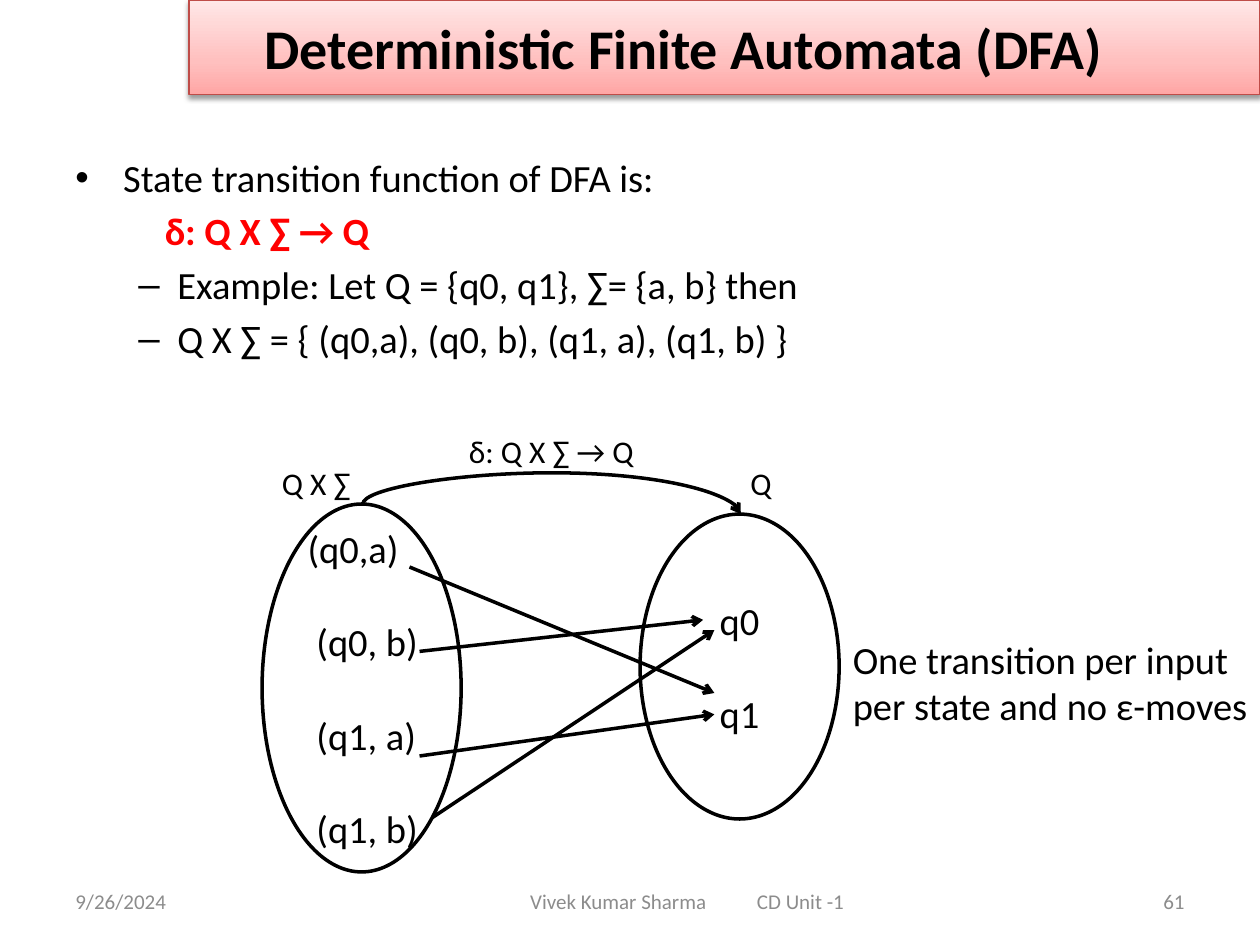
from copy import deepcopy

from lxml import etree
from pptx import Presentation
from pptx.dml.color import RGBColor
from pptx.enum.shapes import MSO_CONNECTOR, MSO_SHAPE
from pptx.enum.text import MSO_ANCHOR, PP_ALIGN
from pptx.oxml import parse_xml
from pptx.oxml.ns import nsdecls, qn
from pptx.util import Inches, Pt

LEFT, CENTER, RIGHT = PP_ALIGN.LEFT, PP_ALIGN.CENTER, PP_ALIGN.RIGHT
MIDDLE, TOP = MSO_ANCHOR.MIDDLE, MSO_ANCHOR.TOP
STRAIGHT, CURVE = MSO_CONNECTOR.STRAIGHT, MSO_CONNECTOR.CURVE
BLACK, RED, GRAY = "000000", "FF0000", "8C8C8C"


def rgb(value):
    return RGBColor.from_string(value)


def write(shape, lines, size, color=BLACK, align=LEFT, anchor=MIDDLE, gap=0):
    """Fill a shape with (text, left margin, first-line indent, bullet) lines."""
    frame = shape.text_frame
    frame.word_wrap = True
    frame.vertical_anchor = anchor
    for index, (text, margin, indent, bullet) in enumerate(lines):
        paragraph = frame.paragraphs[0] if index == 0 else frame.add_paragraph()
        paragraph.text = text
        paragraph.alignment = align
        if index:
            paragraph.space_before = Pt(gap)
        properties = paragraph._p.get_or_add_pPr()
        properties.set("marL", str(Inches(margin)))
        properties.set("indent", str(Inches(indent)))
        if bullet:
            etree.SubElement(properties, qn("a:buFont"), typeface="Arial")
            etree.SubElement(properties, qn("a:buChar"), char=bullet)
        paragraph.font.name = "Calibri"
        paragraph.font.size = Pt(size)
        paragraph.font.color.rgb = rgb(color)
    return frame


presentation = Presentation()
presentation.slide_width = Inches(10)
presentation.slide_height = Inches(7.5)
slide = presentation.slides.add_slide(presentation.slide_layouts[6])
shapes = slide.shapes

# Footer
for text, left, width, align in [
    ("9/26/2024", 0.5, 2.33, LEFT),
    ("Vivek Kumar Sharma", 4.11, 1.8, LEFT),
    ("CD Unit -1", 5.91, 1.2, LEFT),
    ("61", 7.17, 2.33, RIGHT),
]:
    box = shapes.add_textbox(Inches(left), Inches(6.95), Inches(width), Inches(0.4))
    write(box, [(text, 0, 0, None)], 12, GRAY, align)

# Title banner
banner = shapes.add_shape(MSO_SHAPE.RECTANGLE, Inches(1.5), 0, Inches(8.5), Inches(0.75))
banner.fill.gradient()
banner.fill.gradient_angle = 90
stop_list = banner._element.spPr.find(".//" + qn("a:gsLst"))
stop_list.insert(1, deepcopy(stop_list[0]))
banner_stops = [(0, "FFA6A5"), (0.35, "FFC0BF"), (1, "FFE7E7")]
for stop, (position, color) in zip(banner.fill.gradient_stops, banner_stops):
    stop.position = position
    stop.color.rgb = rgb(color)
banner.line.color.rgb = rgb("BF4C48")
banner.line.width = Pt(0.75)
banner.shadow.inherit = False
banner._element.spPr.find(qn("a:effectLst")).append(parse_xml(
    f'<a:outerShdw {nsdecls("a")} blurRad="{Pt(3.1)}" dist="{Pt(1.6)}" dir="5400000"'
    ' rotWithShape="0"><a:srgbClr val="000000"><a:alpha val="38000"/></a:srgbClr>'
    '</a:outerShdw>'))
title = write(banner, [("Deterministic Finite Automata (DFA)", 0.5, 0, None)], 32)
title.paragraphs[0].font.bold = True

# Definition of the transition function
body = shapes.add_textbox(Inches(0.5), Inches(1.17), Inches(9), Inches(5.75))
definition = write(body, [
    ("State transition function of DFA is:", 0.38, -0.38, "•"),
    ("δ: Q X ∑ → Q", 0.71, 0, None),
    ("Example: Let Q = {q0, q1}, ∑= {a, b} then", 0.81, -0.31, "–"),
    ("Q X ∑ = { (q0,a), (q0, b), (q1, a), (q1, b) }", 0.81, -0.31, "–"),
], 22, anchor=TOP, gap=4.4)
formula = definition.paragraphs[1]
formula.font.bold = True
formula.font.color.rgb = rgb(RED)

# Domain and range sets, their members one empty line apart
domain_members = [("(q0,a)", 0.13, 0, None)] + [
    (pair, 0.2, 0, None) for pair in ("(q0, b)", "(q1, a)", "(q1, b)")]
range_members = [(state, 0, 0, None) for state in ("q0", "q1")]
for left, top, height, members, align in [
    (2.08, 4, 2.92, domain_members, LEFT),
    (5.08, 4.08, 2.42, range_members, CENTER),
]:
    ellipse = shapes.add_shape(
        MSO_SHAPE.OVAL, Inches(left), Inches(top), Inches(1.58), Inches(height))
    ellipse.shadow.inherit = False
    ellipse.fill.background()
    ellipse.line.color.rgb = rgb(BLACK)
    ellipse.line.width = Pt(2)
    frame = write(ellipse, members, 22, align=align, gap=27)
    frame.margin_left = frame.margin_right = 0

# Arrows: the curve joins the sets, the straight ones map each member
for kind, *ends in [
    (CURVE, 4.34, 2.54, 4.42, 5.54),
    (STRAIGHT, 3.25, 4.5, 5.67, 5.5),
    (STRAIGHT, 3.33, 5.17, 5.58, 4.92),
    (STRAIGHT, 3.33, 6, 5.67, 5.67),
    (STRAIGHT, 3.43, 6.49, 5.67, 5),
]:
    arrow = shapes.add_connector(kind, *[Inches(value) for value in ends])
    arrow.line.color.rgb = rgb(BLACK)
    arrow.line.width = Pt(2)
    properties = arrow._element.spPr
    etree.SubElement(properties.find(qn("a:ln")), qn("a:tailEnd"), type="arrow")
    etree.SubElement(properties, qn("a:effectLst"))
    if kind == CURVE:
        # A quarter turn back with a flip makes the bend rise above both ends
        transform = properties.find(qn("a:xfrm"))
        transform.set("rot", "16200000")
        transform.set("flipH", "1")
        adjustments = properties.find(".//" + qn("a:avLst"))
        etree.SubElement(adjustments, qn("a:gd"), name="adj1", fmla="val -310000")

# Labels above the sets and the curve
for text, left, top, width in [
    ("δ: Q X ∑ → Q", 3.25, 3.33, 2.25),
    ("Q X ∑", 2.05, 3.58, 0.92),
    ("Q", 5.58, 3.58, 0.92),
]:
    label = shapes.add_textbox(Inches(left), Inches(top), Inches(width), Inches(0.5))
    write(label, [(text, 0, 0, None)], 18, align=CENTER)

remark = shapes.add_textbox(Inches(5.67), Inches(4.58), Inches(5), Inches(1.67))
write(remark, [
    ("One transition per input", 1, 0, None),
    ("per state and no ε-moves", 1, 0, None),
], 22)

presentation.save("out.pptx")
